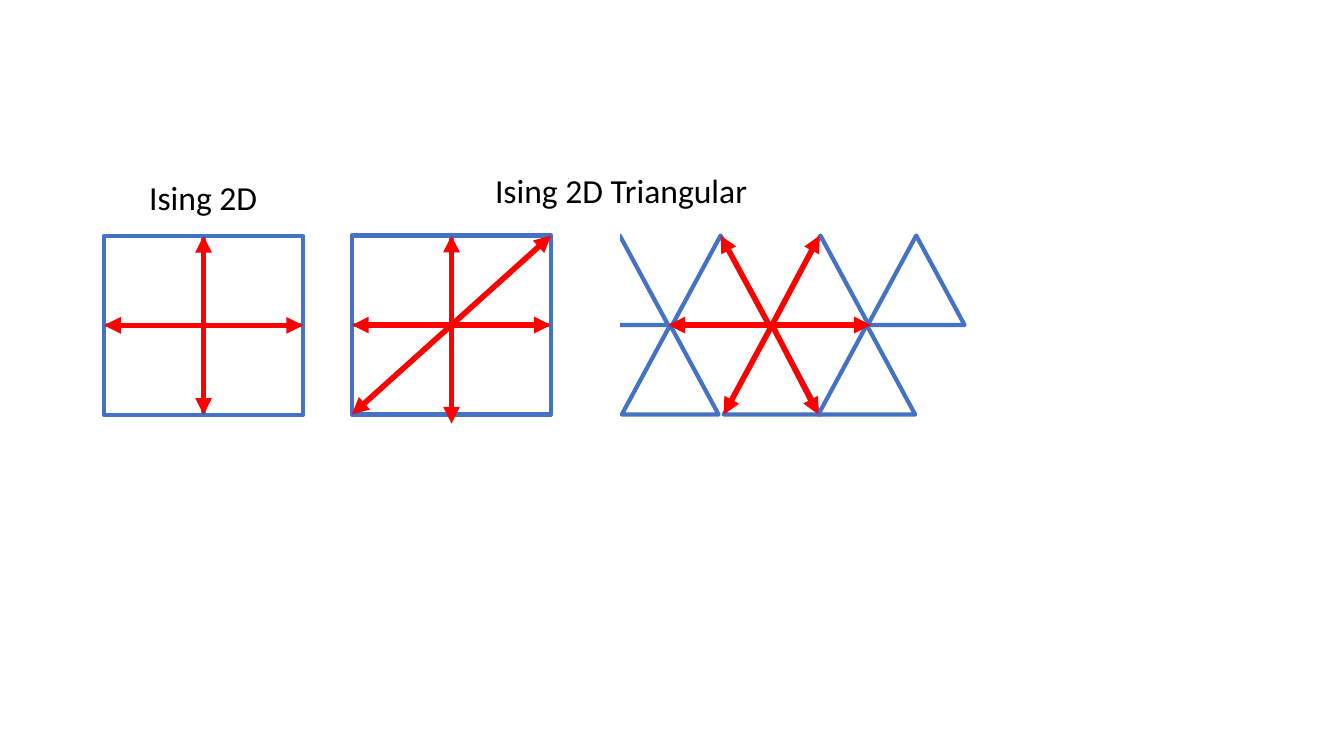
from dataclasses import dataclass

from lxml.etree import SubElement
from pptx import Presentation
from pptx.dml.color import RGBColor
from pptx.enum.shapes import MSO_CONNECTOR, MSO_SHAPE
from pptx.enum.text import MSO_AUTO_SIZE, PP_ALIGN
from pptx.oxml.ns import qn
from pptx.util import Pt


@dataclass(frozen=True)
class Theme:
    grid: RGBColor = RGBColor(0x44, 0x72, 0xC4)
    bond: RGBColor = RGBColor(0xFF, 0x00, 0x00)
    text: RGBColor = RGBColor(0x00, 0x00, 0x00)
    paper: RGBColor = RGBColor(0xFF, 0xFF, 0xFF)
    font: str = "Calibri"
    caption_size: int = 24
    grid_width: int = 3
    bond_width: int = 4


class Canvas:
    def __init__(self, slide, theme):
        self.s = slide
        self.theme = theme

    def cell(self, kind, x, y, w, h):
        sp = self.s.shapes.add_shape(kind, Pt(x), Pt(y), Pt(w), Pt(h))
        sp.shadow.inherit = False
        sp.fill.background()
        sp.line.color.rgb = self.theme.grid
        sp.line.width = Pt(self.theme.grid_width)

    def cover(self, x, y, w, h):
        sp = self.s.shapes.add_shape(MSO_SHAPE.RECTANGLE, Pt(x), Pt(y), Pt(w), Pt(h))
        sp.shadow.inherit = False
        sp.fill.solid()
        sp.fill.fore_color.rgb = self.theme.paper
        sp.line.fill.background()

    def arrow(self, start, end):
        ends = [Pt(v) for v in (*start, *end)]
        cx = self.s.shapes.add_connector(MSO_CONNECTOR.STRAIGHT, *ends)
        cx.line.color.rgb = self.theme.bond
        cx.line.width = Pt(self.theme.bond_width)
        SubElement(cx.line._get_or_add_ln(), qn("a:tailEnd"), type="triangle")
        SubElement(cx._element.spPr, qn("a:effectLst"))

    def caption(self, text, x, y, w, h):
        tf = self.s.shapes.add_textbox(Pt(x), Pt(y), Pt(w), Pt(h)).text_frame
        tf.word_wrap = False
        tf.auto_size = MSO_AUTO_SIZE.SHAPE_TO_FIT_TEXT
        tf.text = text
        p = tf.paragraphs[0]
        p.alignment = PP_ALIGN.LEFT
        font = p.runs[0].font
        font.name = self.theme.font
        font.size = Pt(self.theme.caption_size)
        font.color.rgb = self.theme.text

    def square_lattice(self, x, y, w, h):
        """Draw four cells and return their shared corner."""
        for row in range(2):
            for col in range(2):
                self.cell(MSO_SHAPE.RECTANGLE, x + col * w, y + row * h, w, h)
        return x + w, y + h


def main():
    prs = Presentation()
    prs.slide_width, prs.slide_height = Pt(960), Pt(540)
    c = Canvas(prs.slides.add_slide(prs.slide_layouts[6]), Theme())
    top, w, h = 168.3, 71.1, 63.9
    middle, bottom = top + h, top + 2 * h

    # Square lattice: four neighbours
    hx, hy = c.square_lattice(74.3, top + 0.2, w, h)
    for dx, dy in ((w, 0), (0, -h), (0, h), (-w, 0)):
        c.arrow((hx, hy), (hx + dx, hy + dy))

    # Square lattice with a diagonal: six neighbours
    hx, hy = c.square_lattice(251.4, top, w, h)
    for dx, dy in ((w, -h), (w, 0), (0, -h), (0, 70.4), (-w, 0), (-w, h)):
        c.arrow((hx, hy), (hx + dx, hy + dy))

    # Triangular lattice, cut off on the left by the cover
    rows = ((top, (408.2, 480.2, 551.5, 619.9)), (middle, (444.2, 517, 584.6)))
    for y, lefts in rows:
        for x in lefts:
            c.cell(MSO_SHAPE.ISOSCELES_TRIANGLE, x, y, 69.1, h)
    c.cover(402.5, 123, 40.3, 185)

    # Six neighbours of the triangular site
    hub = (551.5, middle)
    for end in ((622.1, middle), (585.4, top), (517, bottom),
                (584.6, bottom), (477.4, middle)):
        c.arrow(hub, end)
    c.arrow((549.4, middle), (514.8, top))

    # Captions
    c.caption("Ising 2D", 99.4, 123.1, 92.2, 36)
    c.caption("Ising 2D Triangular", 346.5, 117.7, 195.8, 36)

    prs.save("out.pptx")


if __name__ == "__main__":
    main()
